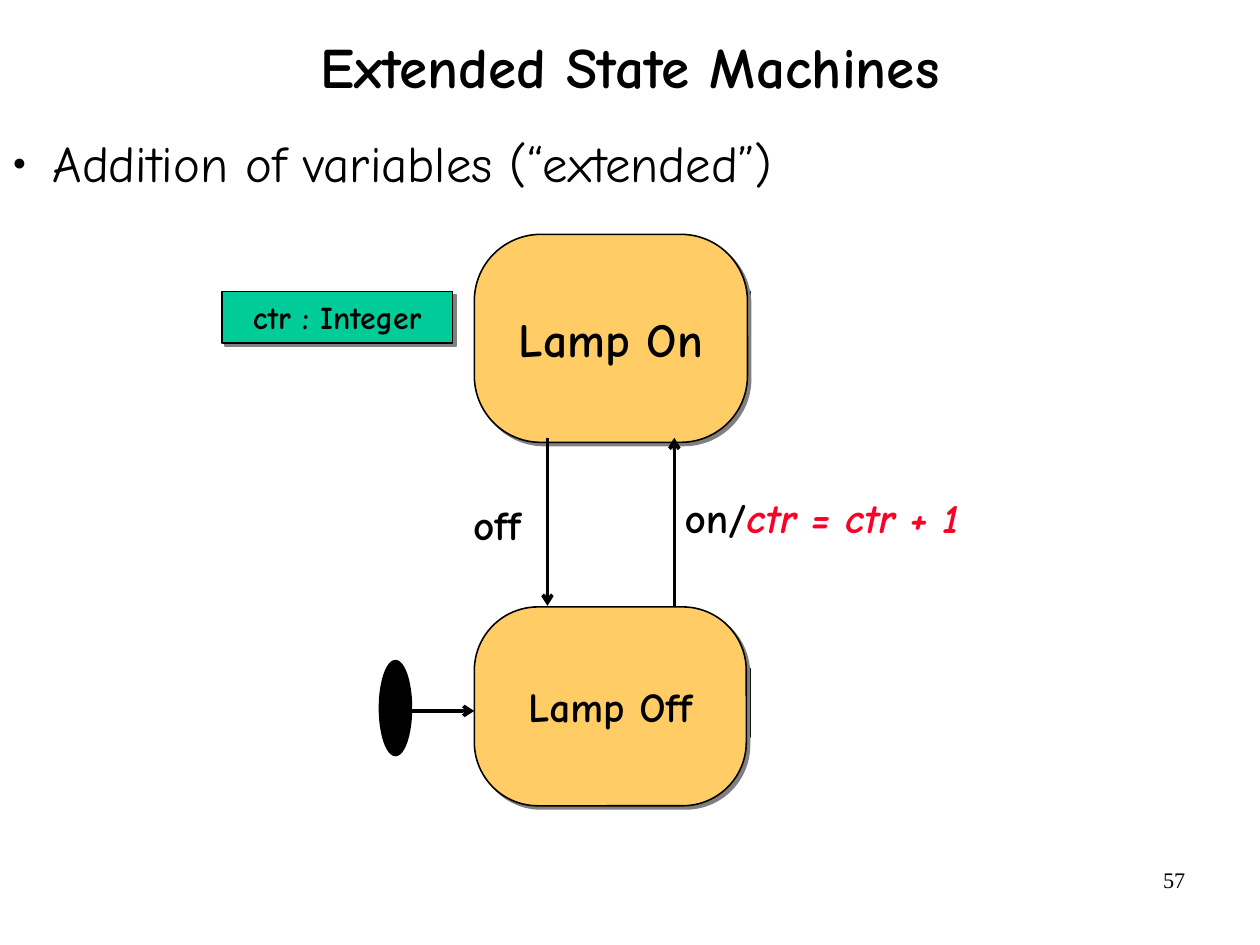
from dataclasses import dataclass

from pptx import Presentation
from pptx.dml.color import RGBColor
from pptx.enum.shapes import MSO_CONNECTOR as Connector, MSO_SHAPE as Preset
from pptx.enum.text import MSO_ANCHOR as Anchor, MSO_AUTO_SIZE as AutoSize, PP_ALIGN as Align
from pptx.oxml.ns import qn
from pptx.oxml.xmlchemy import OxmlElement
from pptx.util import Emu, Pt

PX = 9144  # 100 px to the inch
PAGE_SIZE = (Emu(10080625), Emu(7559675))  # 28 by 21 cm page


@dataclass(frozen=True)
class Theme:
    font: str = "Comic Neue"
    number_font: str = "Times New Roman"
    black: str = "000000"
    state: str = "FFCC66"
    variable: str = "00CC99"
    action: str = "FC0128"
    shadow: str = "808080"
    title: int = 36
    body: int = 32
    large: int = 30
    label: int = 26
    small: int = 20
    number: int = 14
    outline: float = 1
    arrow: float = 2.25


THEME = Theme()


@dataclass(frozen=True)
class Span:
    text: str
    size: int = THEME.label
    color: str = THEME.black
    bold: bool = True
    italic: bool = False
    font: str = THEME.font


@dataclass(frozen=True)
class Node:
    preset: Preset
    area: tuple[int, int, int, int]
    fill: str
    span: Span | None = None
    wrap: bool = True


@dataclass(frozen=True)
class Label:
    area: tuple[int, int, int, int]
    spans: tuple[Span, ...]
    align: Align = Align.LEFT
    margins: tuple[int, int] = (11, 6)
    wrap: bool = False


@dataclass(frozen=True)
class Arrow:
    start: tuple[int, int]
    end: tuple[int, int]


LOOPS = [(636, 644), (636, 314)]  # lower left corner of each self-transition
NODES = [
    Node(Preset.ROUNDED_RECTANGLE, (415, 205, 239, 182), THEME.state,
         Span("Lamp On", THEME.large)),
    Node(Preset.ROUNDED_RECTANGLE, (415, 531, 238, 174), THEME.state, Span("Lamp Off")),
    Node(Preset.OVAL, (332, 578, 28, 83), THEME.black),
    Node(Preset.RECTANGLE, (194, 255, 202, 45), THEME.variable,
         Span("ctr : Integer", THEME.small), wrap=False),
]
ARROWS = [
    Arrow((479, 383), (479, 530)),
    Arrow((590, 530), (590, 383)),
    Arrow((351, 622), (415, 622)),
]
LABELS = [
    Label((403, 431, 78, 55), (Span("off"),)),
    Label((588, 425, 316, 55),
          (Span("on/"), Span("ctr = ctr + 1", color=THEME.action, italic=True))),
    Label((790, 753, 257, 57),
          (Span("57", THEME.number, bold=False, font=THEME.number_font),),
          Align.RIGHT, (10, 5), wrap=True),
]


def emu(*lengths: int) -> list[Emu]:
    return [Emu(length * PX) for length in lengths]


def add_child(parent, tag: str, **attributes: str):
    child = OxmlElement(tag)
    for name, value in attributes.items():
        child.set(name, value)
    parent.append(child)
    return child


def set_margins(frame, across: int, down: int) -> None:
    frame.margin_left = frame.margin_right = Emu(across * PX)
    frame.margin_top = frame.margin_bottom = Emu(down * PX)


def add_span(para, span: Span) -> None:
    run = para.add_run()
    run.text = span.text
    font = run.font
    font.name, font.size = span.font, Pt(span.size)
    font.bold, font.italic = span.bold, span.italic
    font.color.rgb = RGBColor.from_string(span.color)


def set_line(line, width: float) -> None:
    line.color.rgb = RGBColor.from_string(THEME.black)
    line.width = Pt(width)


def add_arrowhead(line) -> None:
    set_line(line, THEME.arrow)
    add_child(line._get_or_add_ln(), "a:tailEnd", type="arrow")


def fill_placeholder(box, area: tuple[int, int, int, int], span: Span):
    box.left, box.top, box.width, box.height = emu(*area)
    frame = box.text_frame
    frame.auto_size = AutoSize.NONE
    set_margins(frame, 0, 0)
    para = frame.paragraphs[0]
    para.line_spacing = 0.88
    para.space_before = Pt(0)
    add_span(para, span)
    return frame


def add_loop(page, left: int, bottom: int) -> None:
    builder = page.shapes.build_freeform(left, bottom, scale=PX)
    builder.add_line_segments(
        [(left + 20, bottom), (left + 20, bottom - 59), (left + 2, bottom - 59)], close=False)
    loop = builder.convert_to_shape()
    loop.shadow.inherit = False
    loop.fill.background()
    add_arrowhead(loop.line)


def add_node(page, node: Node) -> None:
    box = page.shapes.add_shape(node.preset, *emu(*node.area))
    box.fill.solid()
    box.fill.fore_color.rgb = RGBColor.from_string(node.fill)
    set_line(box.line, THEME.outline)
    box.shadow.inherit = False
    if node.preset == Preset.ROUNDED_RECTANGLE:
        box.adjustments[0] = 0.32
    if node.span is None:
        return
    effects = box._element.spPr.find(qn("a:effectLst"))
    shadow = add_child(effects, "a:outerShdw", dist=str(Pt(2.8)), dir=str(45 * 60000),
                       algn="ctr", rotWithShape="0")
    add_child(shadow, "a:srgbClr", val=THEME.shadow)
    frame = box.text_frame
    frame.word_wrap = node.wrap
    frame.vertical_anchor = Anchor.MIDDLE
    set_margins(frame, 11, 6)
    para = frame.paragraphs[0]
    para.alignment = Align.CENTER
    add_span(para, node.span)


def add_arrow(page, arrow: Arrow) -> None:
    line = page.shapes.add_connector(Connector.STRAIGHT, *emu(*arrow.start, *arrow.end))
    add_arrowhead(line.line)
    add_child(line._element.spPr, "a:effectLst")


def add_label(page, label: Label) -> None:
    frame = page.shapes.add_textbox(*emu(*label.area)).text_frame
    frame.word_wrap = label.wrap
    frame.auto_size = AutoSize.NONE if label.wrap else AutoSize.SHAPE_TO_FIT_TEXT
    set_margins(frame, *label.margins)
    para = frame.paragraphs[0]
    para.alignment = label.align
    for span in label.spans:
        add_span(para, span)


def main() -> None:
    deck = Presentation()
    deck.slide_width, deck.slide_height = PAGE_SIZE
    page = deck.slides.add_slide(deck.slide_layouts[1])

    # Title and list
    title = fill_placeholder(page.shapes.title, (81, -7, 940, 137),
                             Span("Extended State Machines", THEME.title))
    title.vertical_anchor = Anchor.MIDDLE
    title.paragraphs[0].alignment = Align.CENTER
    body = fill_placeholder(page.placeholders[1], (0, 122, 1102, 608),
                            Span("Addition of variables (“extended”)", THEME.body, bold=False))
    item = body.paragraphs[0]
    item.space_after = Pt(13.8)
    properties = item._p.get_or_add_pPr()
    properties.set("marL", str(46 * PX))
    properties.set("indent", str(-35 * PX))
    add_child(add_child(properties, "a:buClr"), "a:srgbClr", val=THEME.black)
    add_child(properties, "a:buSzPct", val="45000")
    add_child(properties, "a:buChar", char="●")

    # State diagram
    for corner in LOOPS:
        add_loop(page, *corner)
    for node in NODES:
        add_node(page, node)
    for arrow in ARROWS:
        add_arrow(page, arrow)

    # Transition labels and page number
    for label in LABELS:
        add_label(page, label)

    deck.save("out.pptx")


if __name__ == "__main__":
    main()
